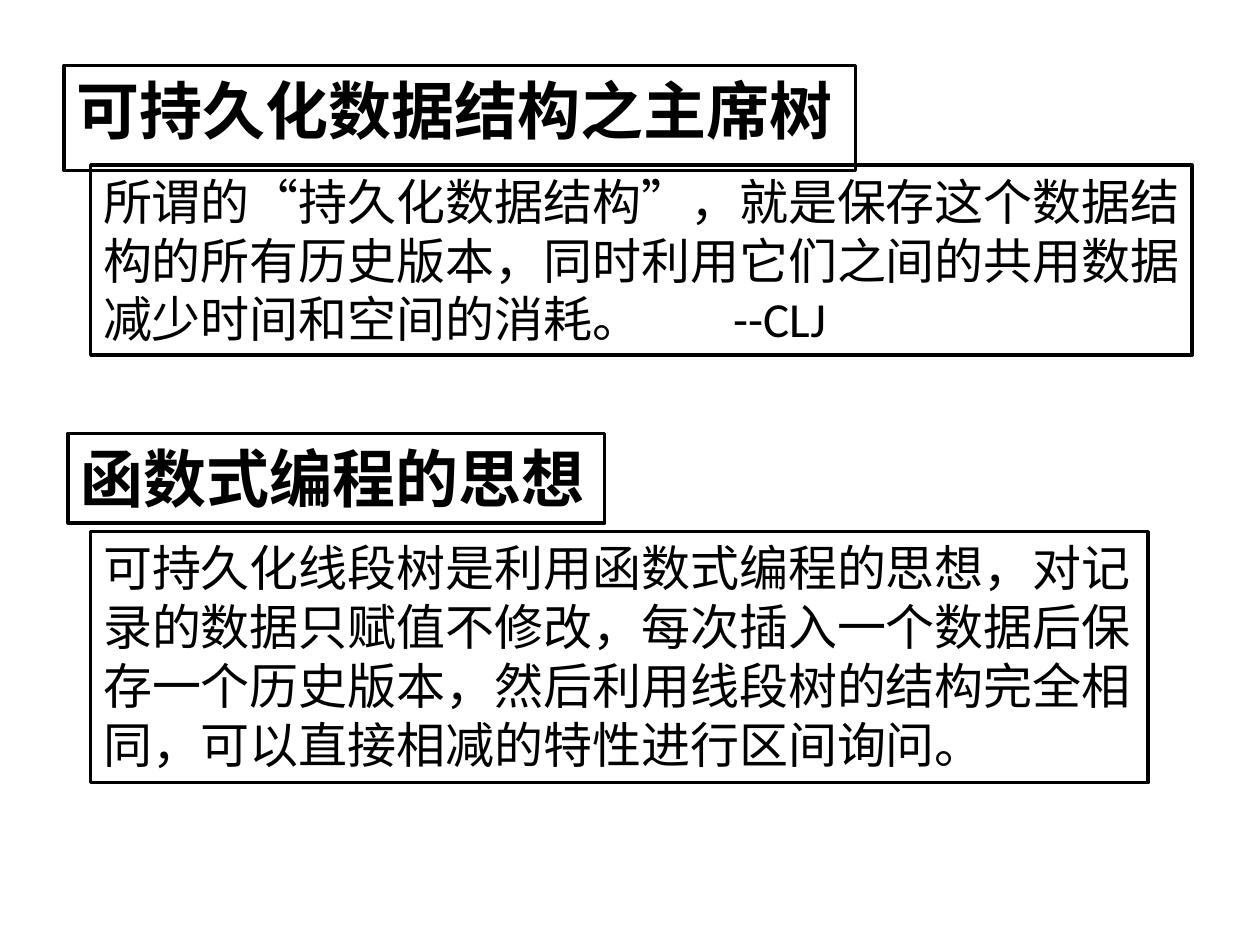
from pptx import Presentation
from pptx.dml.color import RGBColor
from pptx.enum.text import MSO_ANCHOR, MSO_AUTO_SIZE, PP_ALIGN
from pptx.util import Inches, Pt

COLORS = {"ink": "000000"}
INK = RGBColor.from_string(COLORS["ink"])
FONT = "Calibri"

deck = Presentation()
deck.slide_width, deck.slide_height = Inches(10), Inches(7.5)
page = deck.slides.add_slide(deck.slide_layouts.get_by_name("Title Only"))


def fill_box(box, place, text, size, is_heading):
    """Place an outlined box and write its text."""
    box.left, box.top, box.width, box.height = [Inches(value) for value in place]
    box.line.color.rgb = INK
    box.line.width = Pt(2)
    frame = box.text_frame
    frame.word_wrap = not is_heading
    frame.auto_size = MSO_AUTO_SIZE.SHAPE_TO_FIT_TEXT
    frame.vertical_anchor = MSO_ANCHOR.TOP
    para = frame.paragraphs[0]
    para.alignment = PP_ALIGN.LEFT
    span = para.add_run()
    span.text = text
    span.font.name = FONT
    span.font.size = Pt(size)
    span.font.bold = is_heading
    span.font.color.rgb = INK


# Headings: the first is the slide title
headings = [
    ((0.51, 0.52, 6.28, 0.71), "可持久化数据结构之主席树"),
    ((0.54, 3.44, 4.26, 0.71), "函数式编程的思想"),
]
# Explanations, one below each heading
explanations = [
    ((0.72, 1.31, 8.74, 1.51),
     "所谓的“持久化数据结构”，就是保存这个数据结构的所有历史版本，"
     "同时利用它们之间的共用数据减少时间和空间的消耗。\t\t--CLJ"),
    ((0.72, 4.22, 8.39, 1.99),
     "可持久化线段树是利用函数式编程的思想，对记录的数据只赋值不修改，"
     "每次插入一个数据后保存一个历史版本，然后利用线段树的结构完全相同，"
     "可以直接相减的特性进行区间询问。"),
]

for index, (heading, explanation) in enumerate(zip(headings, explanations)):
    heading_box = page.shapes.title if index == 0 else page.shapes.add_textbox(0, 0, 0, 0)
    fill_box(heading_box, *heading, 36, True)
    fill_box(page.shapes.add_textbox(0, 0, 0, 0), *explanation, 28, False)

deck.save("out.pptx")
